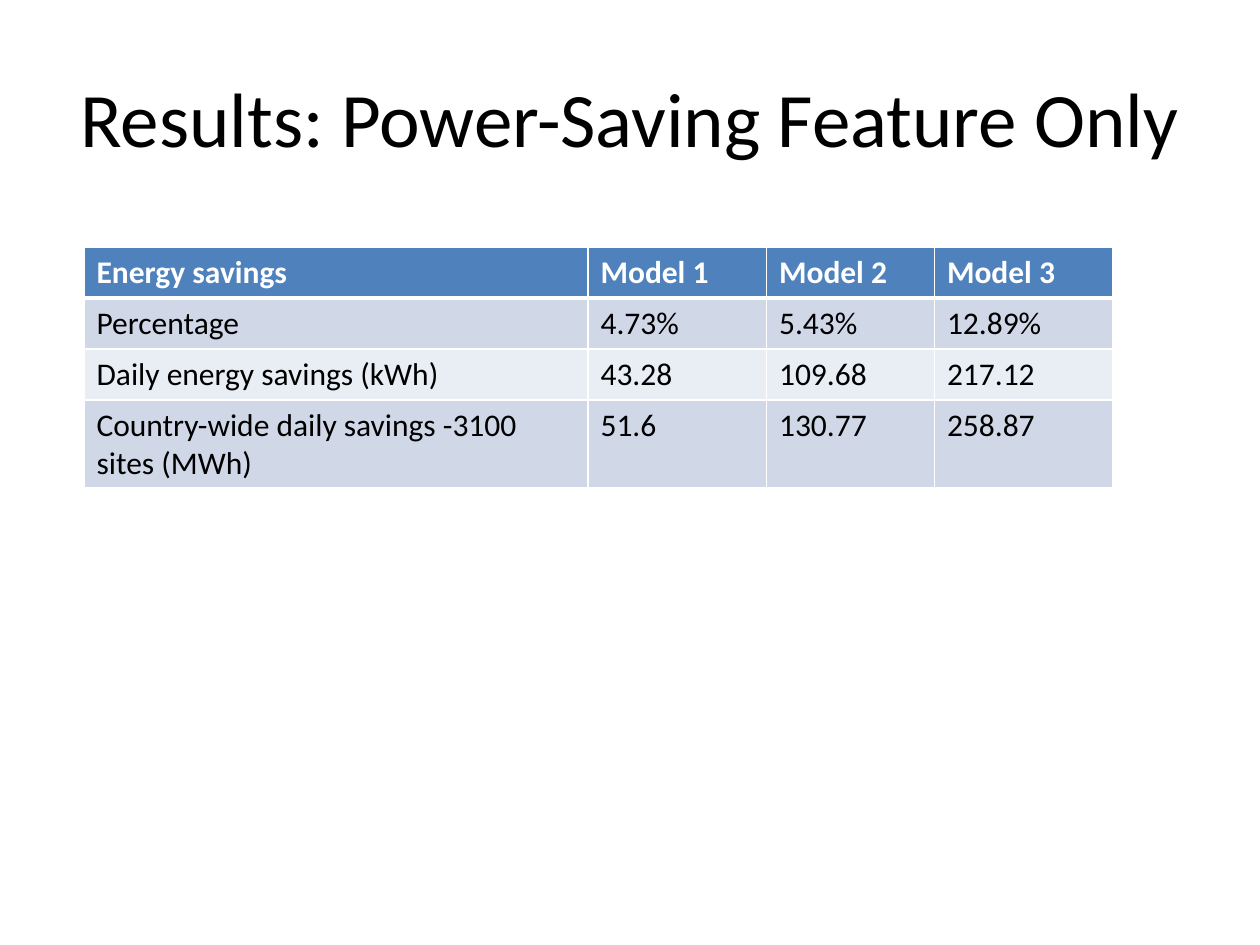
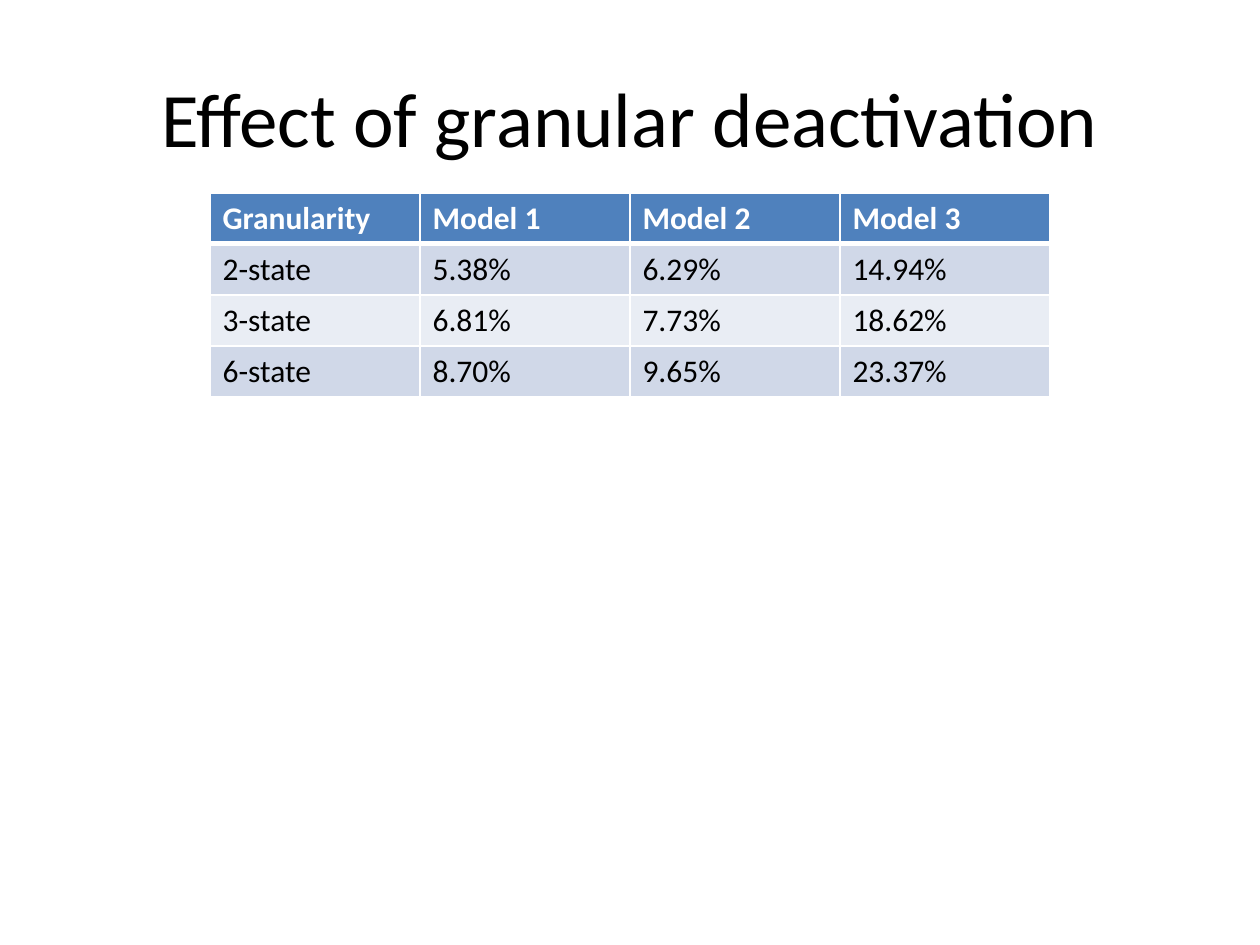
import pptx
import pptx.util
import pptx.dml.color
import pptx.enum.text
import lxml.etree

INK = {"head": "4F81BD", "odd": "D0D8E8", "even": "E9EDF4",
       "white": "FFFFFF", "black": "000000"}
FONT = "Calibri"
ALIGN = pptx.enum.text.PP_ALIGN
ANCHOR = pptx.enum.text.MSO_ANCHOR

# Slide size and grid: 120 columns by 750 rows
deck = pptx.Presentation()
deck.slide_width = pptx.util.Inches(10)
deck.slide_height = pptx.util.Inches(7.5)
COL = deck.slide_width / 120
ROW = deck.slide_height / 750


def write(frame, text, size=18, color="black", bold=False, align=ALIGN.LEFT):
    frame.word_wrap = True
    para = frame.paragraphs[0]
    para.alignment = align
    run = para.add_run()
    run.text = text
    run.font.name = FONT
    run.font.size = pptx.util.Pt(size)
    run.font.bold = bold
    run.font.color.rgb = pptx.dml.color.RGBColor.from_string(INK[color])


def edge(cell, widths):
    # Border lines come before the fill in the cell properties
    props = cell._tc.get_or_add_tcPr()
    for spot, (side, width) in enumerate(widths.items()):
        line = lxml.etree.Element(pptx.oxml.ns.qn(f"a:ln{side}"),
                                  w=str(pptx.util.Pt(width)))
        fill = lxml.etree.SubElement(line, pptx.oxml.ns.qn("a:solidFill"))
        lxml.etree.SubElement(fill, pptx.oxml.ns.qn("a:srgbClr"),
                              val=INK["white"])
        props.insert(spot, line)


# Content: title, table left and top, column widths, rows
pages = [
    ("Results: Power-Saving Feature Only", 8, 196, [48, 17, 16, 17], [
        ["Energy savings", "Model 1", "Model 2", "Model 3"],
        ["Percentage", "4.73%", "5.43%", "12.89%"],
        ["Daily energy savings (kWh)", "43.28", "109.68", "217.12"],
        ["Country-wide daily savings -3100 sites (MWh)",
         "51.6", "130.77", "258.87"],
    ]),
    ("Effect of granular deactivation", 20, 153, [20] * 4, [
        ["Granularity", "Model 1", "Model 2", "Model 3"],
        ["2-state", "5.38%", "6.29%", "14.94%"],
        ["3-state", "6.81%", "7.73%", "18.62%"],
        ["6-state", "8.70%", "9.65%", "23.37%"],
    ]),
]

for title, left, top, cols, rows in pages:
    slide = deck.slides.add_slide(deck.slide_layouts[6])

    # Title
    box = slide.shapes.add_textbox(int(6 * COL), int(30 * ROW),
                                   int(108 * COL), int(125 * ROW))
    box.text_frame.vertical_anchor = ANCHOR.MIDDLE
    write(box.text_frame, title, size=44, align=ALIGN.CENTER)

    # Table
    table = slide.shapes.add_table(
        len(rows), len(cols), int(left * COL), int(top * ROW),
        int(sum(cols) * COL), int(162 * ROW)).table
    for col, width in zip(table.columns, cols):
        col.width = int(width * COL)

    # Cells: white bold header over banded rows
    for r, row in enumerate(rows):
        head = r == 0
        band = "head" if head else "odd" if r % 2 else "even"
        for c, text in enumerate(row):
            cell = table.cell(r, c)
            cell.fill.solid()
            cell.fill.fore_color.rgb = pptx.dml.color.RGBColor.from_string(
                INK[band])
            write(cell.text_frame, text, bold=head,
                  color="white" if head else "black")
            edge(cell, {"L": 1, "R": 1, "T": 3 if r == 1 else 1,
                        "B": 3 if head else 1})

deck.save("out.pptx")
